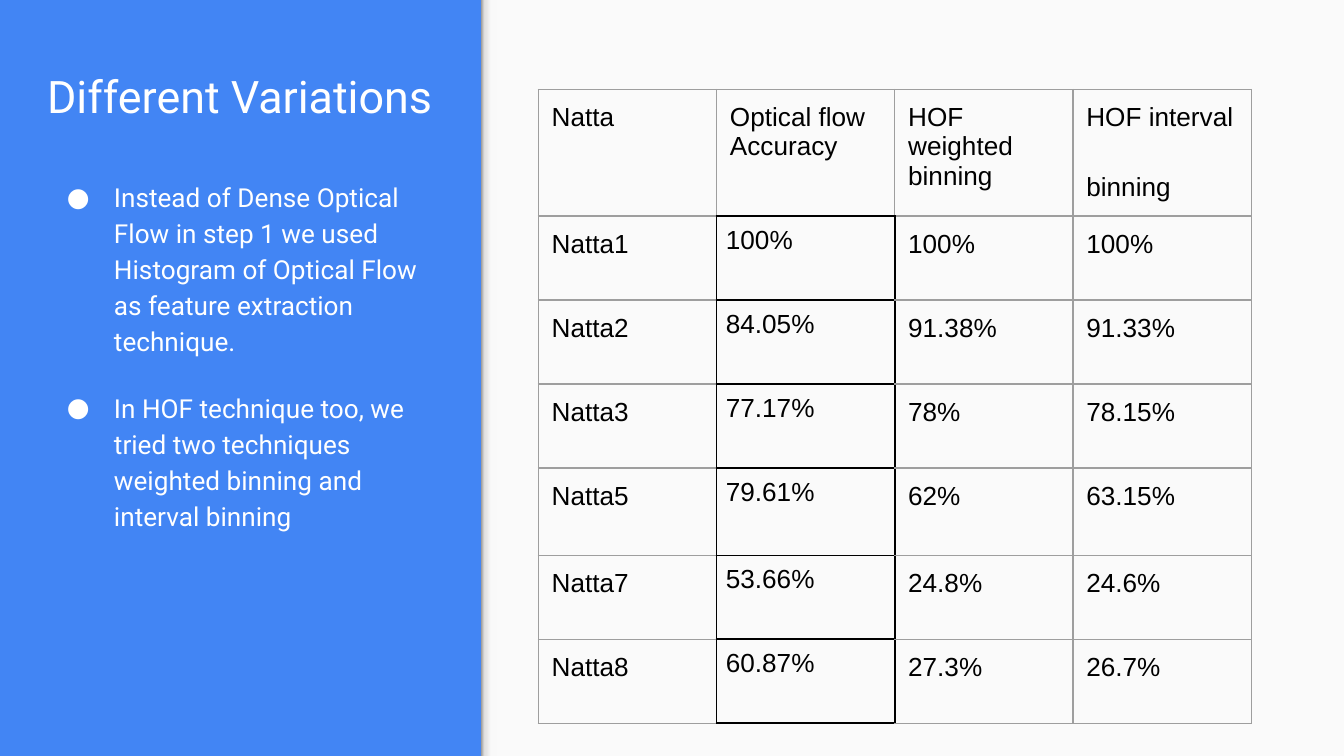
from dataclasses import dataclass

from lxml.etree import SubElement
from pptx import Presentation
from pptx.dml.color import RGBColor
from pptx.enum.shapes import MSO_SHAPE
from pptx.enum.text import MSO_ANCHOR, MSO_AUTO_SIZE, PP_ALIGN
from pptx.oxml.ns import qn
from pptx.util import Inches, Pt


@dataclass(frozen=True)
class Theme:
    """Colours, fonts and type sizes of the slide."""
    blue: str = "4285F4"
    panel: str = "FAFAFA"
    white: str = "FFFFFF"
    black: str = "000000"
    grid: str = "9E9E9E"
    shade: tuple = ((0, "999999"), (20, "DEDEDE"), (64, "F9F9F9"), (100, "F9F9F9"))
    heading_font: str = "Roboto"
    table_font: str = "Arial"
    title_size: int = 24
    text_size: int = 14


@dataclass(frozen=True)
class Box:
    """A rectangle in inches."""
    left: float
    top: float
    width: float
    height: float

    def lengths(self) -> tuple:
        """Return the four lengths for python-pptx."""
        return tuple(Inches(n) for n in (self.left, self.top, self.width, self.height))


@dataclass(frozen=True)
class Border:
    """Colour and point width of a cell edge."""
    color: str
    width: float


THEME = Theme()
WIDTH = 10
HEIGHT = WIDTH * 9 / 16
PANEL_LEFT = 0.358 * WIDTH
TEXT_LEFT, TEXT_WIDTH = 0.025 * WIDTH, 0.307 * WIDTH
COLUMN_WIDTH, HEADER_HEIGHT, ROW_HEIGHT, TALL_ROW_HEIGHT = 1.326, 0.87, 0.625, 0.65
TALL_ROW = 4
ACCURACY_COLUMN = 1
PLAIN_EDGE = Border(THEME.grid, 0.75)
STRONG_EDGE = Border(THEME.black, 1)

BULLETS = (
    "Instead of Dense Optical Flow in step 1 we used Histogram of Optical Flow "
    "as feature extraction technique.",
    "In HOF technique too, we tried two techniques weighted binning and interval binning",
)
RESULTS = (
    ("Natta", "Optical flow \vAccuracy", "HOF weighted binning", "HOF interval \vbinning"),
    ("Natta1", "100%", "100%", "100%"),
    ("Natta2", "84.05%", "91.38%", "91.33%"),
    ("Natta3", "77.17%", "78%", "78.15%"),
    ("Natta5", "79.61%", "62%", "63.15%"),
    ("Natta7", "53.66%", "24.8%", "24.6%"),
    ("Natta8", "60.87%", "27.3%", "26.7%"),
)


def write(paragraph, text: str, *, font: str, size: float, color: str) -> None:
    """Fill a paragraph with left-aligned formatted text."""
    paragraph.text = text
    paragraph.alignment = PP_ALIGN.LEFT
    for run in paragraph.runs:
        run.font.name, run.font.size, run.font.bold = font, Pt(size), False
        run.font.color.rgb = RGBColor.from_string(color)


def set_frame(frame, anchor: MSO_ANCHOR) -> None:
    """Give a text frame its wrapping, margins and anchor."""
    frame.word_wrap = True
    frame.auto_size = MSO_AUTO_SIZE.NONE
    frame.vertical_anchor = anchor
    frame.margin_left = frame.margin_right = Inches(0.1)
    frame.margin_top = frame.margin_bottom = Inches(0.1)


def add_title(slide, text: str) -> None:
    """Place and format the title placeholder."""
    title = slide.shapes.title
    title.left, title.top, title.width, title.height = Box(
        TEXT_LEFT, 0.39, TEXT_WIDTH, 0.62).lengths()
    set_frame(title.text_frame, MSO_ANCHOR.BOTTOM)
    write(title.text_frame.paragraphs[0], text, font=THEME.heading_font,
          size=THEME.title_size, color=THEME.white)


def add_rectangle(slide, box: Box, color: str):
    """Draw a plain rectangle without outline or shadow."""
    shape = slide.shapes.add_shape(MSO_SHAPE.RECTANGLE, *box.lengths())
    shape.shadow.inherit = False
    shape.fill.solid()
    shape.fill.fore_color.rgb = RGBColor.from_string(color)
    shape.line.fill.background()
    return shape


def add_panel(slide) -> None:
    """Draw the light panel and the shade along its left edge."""
    add_rectangle(slide, Box(PANEL_LEFT, 0, WIDTH - PANEL_LEFT, HEIGHT), THEME.panel)
    shade = add_rectangle(slide, Box(PANEL_LEFT, 0, 0.12, HEIGHT), THEME.panel)
    shade.fill.gradient()
    shade.fill.gradient_angle = 0
    stops = shade.element.spPr.find(qn("a:gradFill")).find(qn("a:gsLst"))
    for stop in list(stops):
        stops.remove(stop)
    for position, color in THEME.shade:
        stop = SubElement(stops, qn("a:gs"), pos=str(position * 1000))
        SubElement(stop, qn("a:srgbClr"), val=color)


def add_bullets(slide, items: tuple) -> None:
    """Write the bulleted list on the blue side."""
    shape = slide.shapes.add_textbox(*Box(TEXT_LEFT, 1.215, TEXT_WIDTH, 3.85).lengths())
    frame = shape.text_frame
    set_frame(frame, MSO_ANCHOR.TOP)
    for index, text in enumerate(items):
        paragraph = frame.paragraphs[0] if index == 0 else frame.add_paragraph()
        write(paragraph, text, font=THEME.heading_font, size=THEME.text_size,
              color=THEME.white)
        paragraph.line_spacing = 1.15
        paragraph.space_before = Pt(16.5 if index else 0)
        properties = paragraph._p.get_or_add_pPr()
        properties.set("marL", str(Inches(0.5)))
        properties.set("indent", str(Inches(-0.35)))
        bullet_color = SubElement(properties, qn("a:buClr"))
        SubElement(bullet_color, qn("a:srgbClr"), val=THEME.white)
        SubElement(properties, qn("a:buFont"), typeface=THEME.heading_font)
        SubElement(properties, qn("a:buChar"), char="●")


def is_strong(row: int, column: int) -> bool:
    """Tell whether a cell belongs to the outlined accuracy results."""
    return row > 0 and column == ACCURACY_COLUMN


def set_borders(cell, row: int, column: int) -> None:
    """Outline a cell, with strong edges around accuracy results."""
    neighbours = {"L": (row, column - 1), "R": (row, column + 1),
                  "T": (row - 1, column), "B": (row + 1, column)}
    properties = cell._tc.get_or_add_tcPr()
    for side, neighbour in neighbours.items():
        strong = is_strong(row, column) or is_strong(*neighbour)
        edge = STRONG_EDGE if strong else PLAIN_EDGE
        line = SubElement(properties, qn(f"a:ln{side}"), w=str(Pt(edge.width)))
        fill = SubElement(line, qn("a:solidFill"))
        SubElement(fill, qn("a:srgbClr"), val=edge.color)


def add_results(slide, rows: tuple) -> None:
    """Build the accuracy table."""
    heights = [HEADER_HEIGHT] + [TALL_ROW_HEIGHT if row == TALL_ROW else ROW_HEIGHT
                                 for row in range(1, len(rows))]
    box = Box(4.005, 0.665, COLUMN_WIDTH * len(rows[0]), sum(heights))
    table = slide.shapes.add_table(len(rows), len(rows[0]), *box.lengths()).table
    table.first_row = table.horz_banding = False
    for column in table.columns:
        column.width = Inches(COLUMN_WIDTH)
    for row, values in enumerate(rows):
        table.rows[row].height = Inches(heights[row])
        for column, text in enumerate(values):
            cell = table.cell(row, column)
            margin = Inches(0.07 if is_strong(row, column) else 0.1)
            cell.margin_left = cell.margin_right = margin
            cell.margin_top = cell.margin_bottom = margin
            write(cell.text_frame.paragraphs[0], text, font=THEME.table_font,
                  size=THEME.text_size, color=THEME.black)
            set_borders(cell, row, column)
            cell.fill.background()


def main() -> None:
    """Build and save the slide."""
    presentation = Presentation()
    presentation.slide_width, presentation.slide_height = Inches(WIDTH), Inches(HEIGHT)
    slide = presentation.slides.add_slide(presentation.slide_layouts[5])
    slide.background.fill.solid()
    slide.background.fill.fore_color.rgb = RGBColor.from_string(THEME.blue)
    add_panel(slide)
    add_title(slide, "Different Variations")
    add_bullets(slide, BULLETS)
    add_results(slide, RESULTS)
    presentation.save("out.pptx")


if __name__ == "__main__":
    main()
